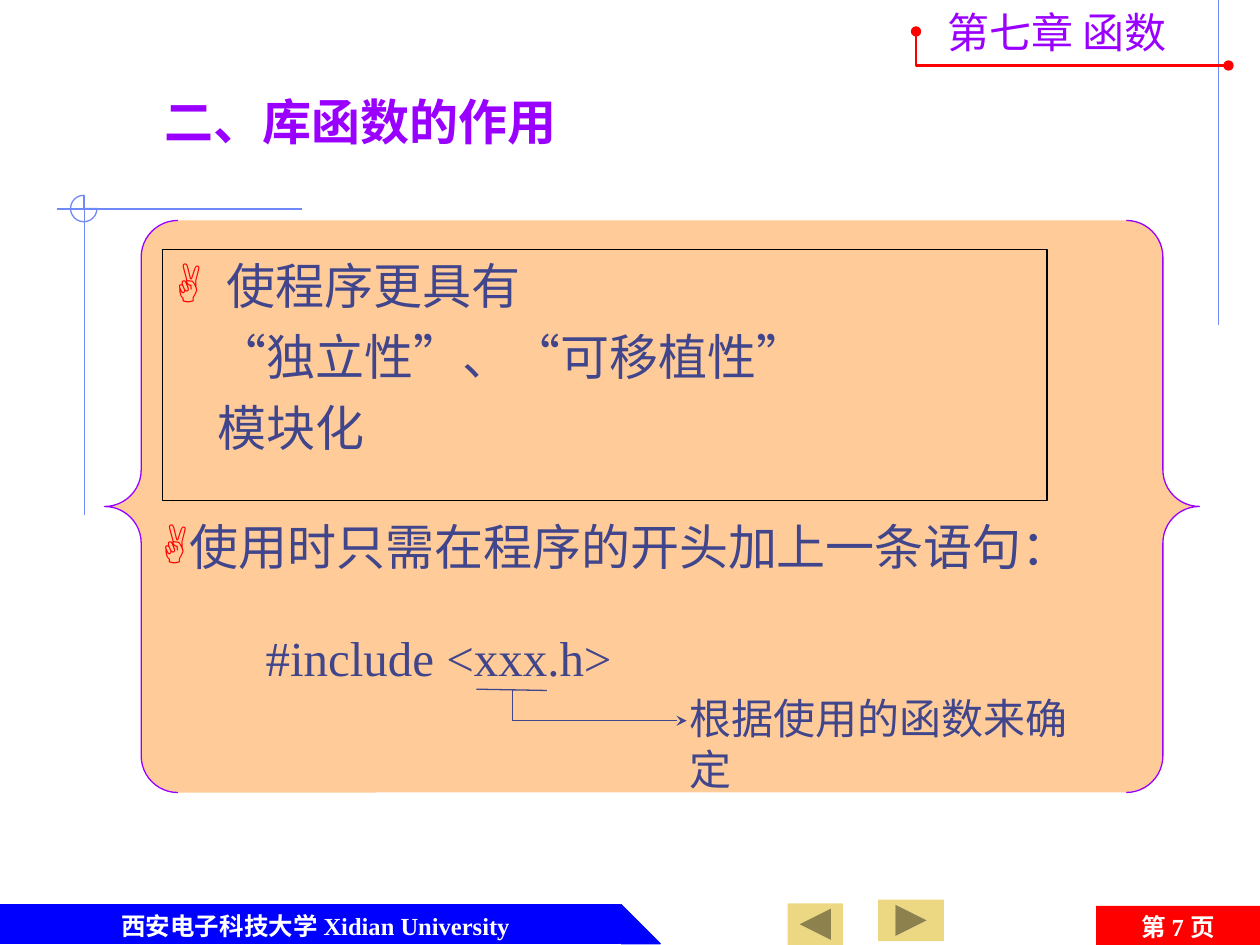
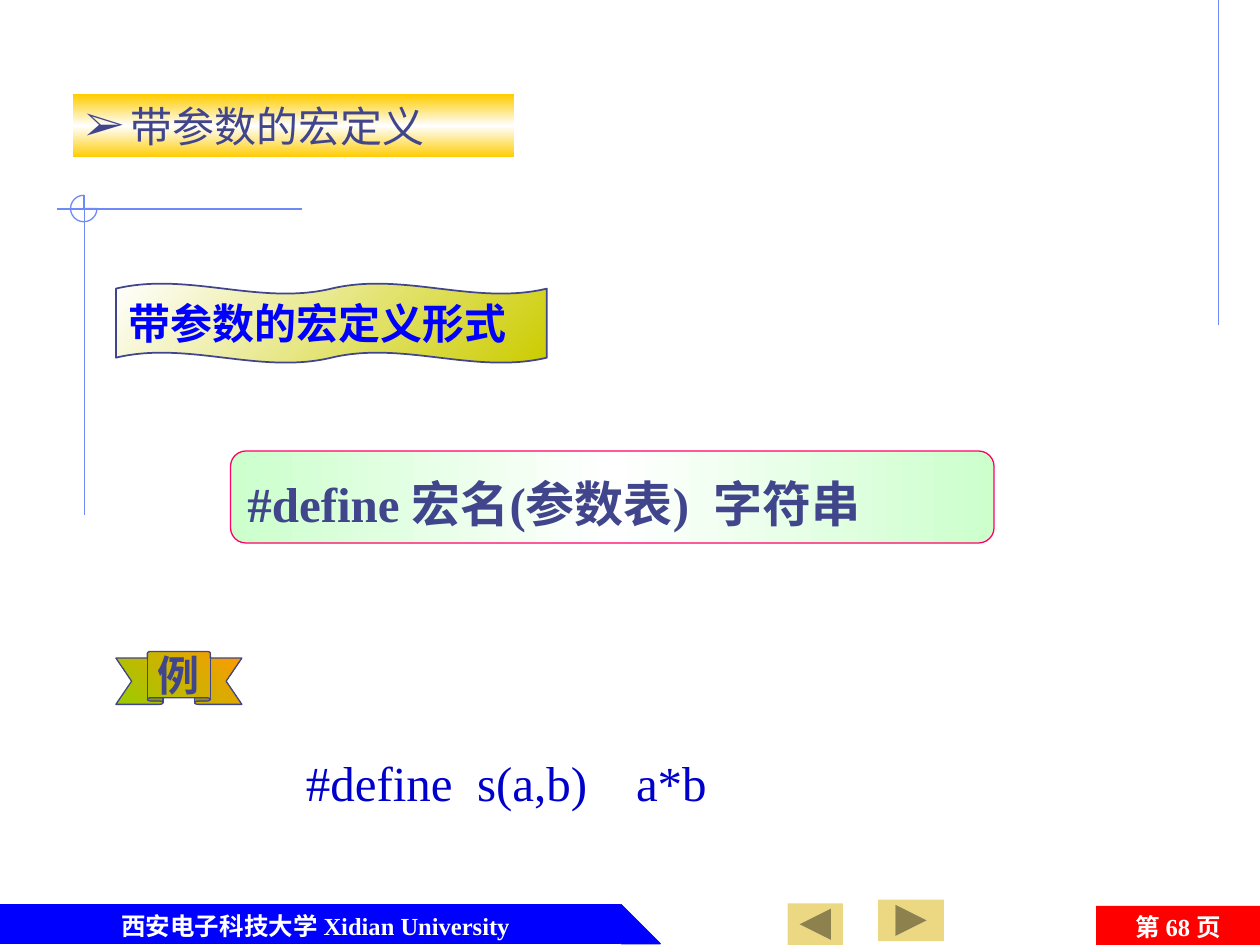
from lxml.etree import SubElement
from pptx import Presentation
from pptx.dml.color import RGBColor
from pptx.enum.shapes import MSO_CONNECTOR, MSO_SHAPE
from pptx.enum.text import MSO_ANCHOR, PP_ALIGN
from pptx.oxml.ns import qn
from pptx.util import Inches, Pt

C = {
    "ink": "40458C", "purple": "9900FF", "red": "FF0000", "blue": "0000FF",
    "code": "0000CC", "rule": "6F89F7", "button": "ECD882", "panel": "FFCC99",
    "white": "FFFFFF", "black": "000000", "gold": "FFCC00", "olive": "CCCC00",
    "mint": "CCFFCC", "pink": "FF0066", "green": "99CC00", "orange": "FF9900",
}
CJK, SERIF, SANS = "Noto Sans CJK SC", "Times New Roman", "Cabin"


def text(sp, words, size=28, color="ink", font=SERIF, bold=False,
         align=PP_ALIGN.LEFT, anchor=MSO_ANCHOR.TOP, wrap=True, bullet=None,
         bullet_color=None, left=0, hang=0, before=0, spacing=None):
    """Write one paragraph into a shape, after any text already there."""
    tf = sp.text_frame
    tf.word_wrap, tf.vertical_anchor = wrap, anchor
    p = tf.add_paragraph() if tf.text else tf.paragraphs[0]
    pPr = p._p.get_or_add_pPr()
    pPr.set("marL", str(Inches(left)))
    pPr.set("indent", str(-Inches(hang)))
    if bullet:
        clr = SubElement(pPr, qn("a:buClr"))
        SubElement(clr, qn("a:srgbClr"), val=C[bullet_color or color])
        SubElement(pPr, qn("a:buFont"), typeface=SERIF)
        SubElement(pPr, qn("a:buChar"), char=bullet)
    p.alignment, p.space_before = align, Pt(before)
    if spacing:
        p.line_spacing = spacing
    r = p.add_run()
    r.text = words
    r.font.size, r.font.bold, r.font.name = Pt(size), bold, font
    r.font.color.rgb = RGBColor.from_string(C[color])
    SubElement(r._r.get_or_add_rPr(), qn("a:ea"), typeface=CJK)


def paint(sp, fill=None, line=None, width=0.75, angle=0, head=None, tail=None):
    """Set fill (a colour or a list of gradient colours), line and line ends."""
    sp.shadow.inherit = False
    if isinstance(fill, list):
        sp.fill.gradient()
        sp.fill.gradient_angle = angle
        stops = sp._element.spPr.find(".//" + qn("a:gsLst"))
        stops.clear()
        for i, name in enumerate(fill):
            gs = SubElement(stops, qn("a:gs"), pos=str(100000 * i // (len(fill) - 1)))
            SubElement(gs, qn("a:srgbClr"), val=C[name])
    elif fill:
        sp.fill.solid()
        sp.fill.fore_color.rgb = RGBColor.from_string(C[fill])
    else:
        sp.fill.background()
    if not line:
        sp.line.fill.background()
        return
    sp.line.color.rgb = RGBColor.from_string(C[line])
    sp.line.width = Pt(width)
    ln = sp._element.spPr.find(qn("a:ln"))
    for tag, kind in (("a:headEnd", head), ("a:tailEnd", tail)):
        if kind:
            SubElement(ln, qn(tag), type=kind)


prs = Presentation()
prs.slide_width, prs.slide_height = Inches(10), Inches(7.5)

# Shared frame: rules, corner mark, footer band, page number, buttons
RULES = [(9.67, 0, 9.67, 2.58), (2.4, 1.66, 0.45, 1.66), (0.67, 1.55, 0.67, 4.09)]
FRAME = [
    (MSO_SHAPE.PIE, (0.56, 1.55, 0.21, 0.21), None, "rule", 0),
    (MSO_SHAPE.RECTANGLE, (0, 7.18, 4.92, 0.31), "blue", "blue", 0),
    (MSO_SHAPE.RIGHT_TRIANGLE, (4.93, 7.18, 0.31, 0.31), "blue", "blue", 0),
    (MSO_SHAPE.ACTION_BUTTON_FORWARD_OR_NEXT, (6.97, 7.14, 0.52, 0.33), "button", None, 0),
    (MSO_SHAPE.ACTION_BUTTON_FORWARD_OR_NEXT, (6.25, 7.17, 0.44, 0.33), "button", None, 180),
]
for page in (7, 68):
    s = prs.slides.add_slide(prs.slide_layouts[6])
    for ends in RULES:
        cn = s.shapes.add_connector(MSO_CONNECTOR.STRAIGHT, *map(Inches, ends))
        cn.line.color.rgb = RGBColor.from_string(C["rule"])
        cn.line.width = Pt(0.75)
        SubElement(cn._element.spPr, qn("a:effectLst"))
    for kind, box, fill, line, turn in FRAME:
        sp = s.shapes.add_shape(kind, *map(Inches, box))
        paint(sp, fill, line)
        sp.rotation = turn
    school = s.shapes.add_textbox(*map(Inches, (0.29, 7.18, 4.43, 0.31)))
    text(school, "西安电子科技大学 Xidian University", 14, "white", bold=True,
         align=PP_ALIGN.CENTER)
    number = s.shapes.add_shape(MSO_SHAPE.RECTANGLE, *map(Inches, (8.7, 7.19, 1.3, 0.33)))
    paint(number, "red")
    text(number, f"第 {page} 页", 14, "white", bold=True, align=PP_ALIGN.CENTER)

# Slide 1: what library functions are for
s = prs.slides[0]
panel = s.shapes.add_shape(MSO_SHAPE.DOUBLE_BRACE, *map(Inches, (0.83, 1.75, 8.69, 4.54)))
panel.adjustments[0] = 0.064
paint(panel, "panel", "purple")

benefits = s.shapes.add_shape(MSO_SHAPE.RECTANGLE, *map(Inches, (1.29, 1.98, 7.02, 1.99)))
paint(benefits, line="black")
text(benefits, "使程序更具有", font=CJK, bullet="✌", bullet_color="red", left=0.41, hang=0.41)
for words in ("“独立性”、“可移植性”", "模块化"):
    text(benefits, words, font=CJK, left=0.34, before=7)

LABELS = [
    ((1.21, 0.68, 4.7, 0.57), "二、库函数的作用", dict(color="purple", font=CJK, bold=True)),
    ((1.18, 4.05, 8.12, 0.57), "使用时只需在程序的开头加上一条语句：",
     dict(bullet="✌", bullet_color="red", left=0.22, hang=0.22)),
    ((2.01, 4.93, 5.88, 0.57), "#include <xxx.h>", {}),
    ((5.37, 5.45, 3.51, 0.5), "根据使用的函数来确定", dict(size=24)),
    ((7.42, 0, 2.2, 0.5), "第七章 函数", dict(size=24, color="purple", font=CJK, wrap=False)),
]
for box, words, fmt in LABELS:
    text(s.shapes.add_textbox(*map(Inches, box)), words, **fmt)

# Underline of the header name, its pointer, and the chapter corner
underline = s.shapes.add_connector(MSO_CONNECTOR.STRAIGHT, *map(Inches, (3.78, 5.47, 4.34, 5.48)))
underline.line.color.rgb = RGBColor.from_string(C["ink"])
underline.line.width = Pt(0.75)
SubElement(underline._element.spPr, qn("a:effectLst"))
CORNERS = [
    (4.07, 5.47, 5.45, 5.72, dict(line="ink", tail="stealth")),
    (7.27, 0.25, 9.75, 0.52, dict(line="red", width=1.5, head="oval", tail="oval")),
]
for x1, y1, x2, y2, look in CORNERS:
    fb = s.shapes.build_freeform(Inches(x1), Inches(y1))
    fb.add_line_segments([(Inches(x1), Inches(y2)), (Inches(x2), Inches(y2))], close=False)
    paint(fb.convert_to_shape(), **look)

# Slide 2: macros with parameters
s = prs.slides[1]
PLATES = [
    (MSO_SHAPE.RECTANGLE, (0.58, 0.75, 3.5, 0.5), [],
     dict(fill=["gold", "white", "gold"], angle=90),
     "带参数的宏定义", dict(size=24, font=SANS, bullet="➢", left=0.36, hang=0.36)),
    (MSO_SHAPE.DOUBLE_WAVE, (0.92, 2.25, 3.42, 0.63), [0.065, 0],
     dict(fill=["white", "olive"], angle=315, line="ink", width=1),
     "带参数的宏定义形式",
     dict(size=24, color="blue", font=SANS, bold=True, anchor=MSO_ANCHOR.MIDDLE)),
    (MSO_SHAPE.ROUNDED_RECTANGLE, (1.83, 3.58, 6.06, 0.73), [0.167],
     dict(fill=["mint", "white", "mint"], line="pink"),
     "#define 宏名(参数表)  字符串", dict(bold=True, spacing=1.2)),
    (MSO_SHAPE.UP_RIBBON, (0.92, 5.17, 1, 0.42), [0.125, 0.5],
     dict(fill=["green", "orange"], angle=45, line="ink"),
     "例", dict(size=24, font=SANS, bold=True, wrap=False,
               align=PP_ALIGN.CENTER, anchor=MSO_ANCHOR.MIDDLE)),
]
for kind, box, adjust, look, words, fmt in PLATES:
    sp = s.shapes.add_shape(kind, *map(Inches, box))
    for i, value in enumerate(adjust):
        sp.adjustments[i] = value
    paint(sp, **look)
    text(sp, words, **fmt)

example = s.shapes.add_textbox(*map(Inches, (2.33, 5.92, 4, 0.57)))
text(example, "#define  s(a,b)    a*b", color="code")

prs.save("out.pptx")
